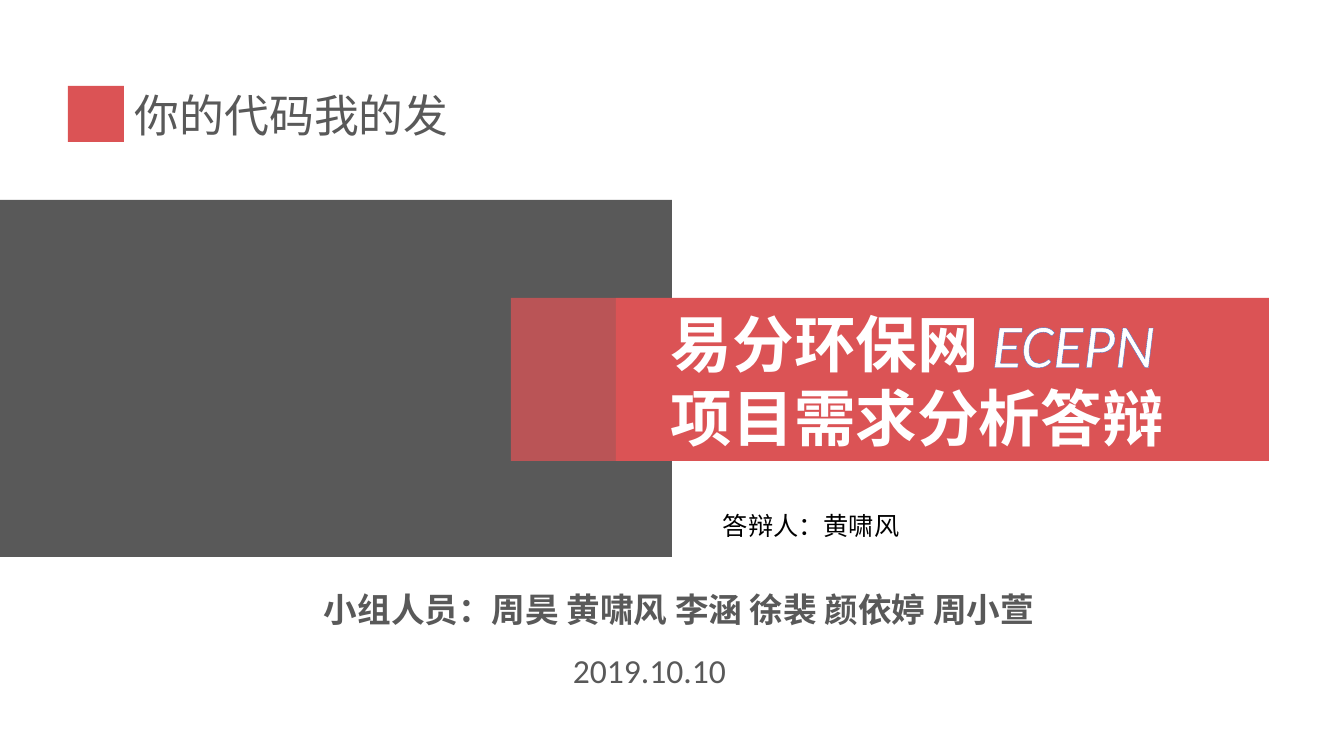
from dataclasses import dataclass

from lxml import etree
from pptx import Presentation
from pptx import util as u
from pptx.dml import color
from pptx.enum import shapes, text
from pptx.oxml import ns

PX = 914400 / 100.8


@dataclass(frozen=True)
class Theme:
    red: str = "DB5355"
    grey: str = "595959"
    white: str = "FFFFFF"
    black: str = "000000"
    outline: str = "4472C4"
    latin: str = "Calibri"
    chinese: str = "Noto Sans CJK SC"
    title: int = 44
    team: int = 32
    body: int = 24
    speaker: int = 18


THEME = Theme()


def px(*lengths):
    return [u.Emu(round(length * PX)) for length in lengths]


def rgb(value):
    return color.RGBColor.from_string(value)


def add_block(slide, box, fill, opacity=100):
    shape = slide.shapes.add_shape(shapes.MSO_SHAPE.RECTANGLE, *px(*box))
    shape.shadow.inherit = False
    shape.fill.solid()
    shape.fill.fore_color.rgb = rgb(fill)
    shape.line.fill.background()
    if opacity < 100:
        fill_color = shape.fill._xPr.find(".//" + ns.qn("a:srgbClr"))
        etree.SubElement(fill_color, ns.qn("a:alpha"), val=str(opacity * 1000))


def outline_text(run, line_color, points):
    line = etree.Element(ns.qn("a:ln"), w=str(u.Pt(points)))
    fill = etree.SubElement(line, ns.qn("a:solidFill"))
    etree.SubElement(fill, ns.qn("a:srgbClr"), val=line_color)
    run.font._element.insert(0, line)


def add_text(slide, box, content, size, fill=THEME.grey, face=THEME.latin,
             bold=False, italic=False, outline=None):
    frame = slide.shapes.add_textbox(*px(*box)).text_frame
    frame.word_wrap = True
    frame.auto_size = text.MSO_AUTO_SIZE.SHAPE_TO_FIT_TEXT
    for index, line in enumerate(content.split("\n")):
        paragraph = frame.add_paragraph() if index else frame.paragraphs[0]
        run = paragraph.add_run()
        run.text = line
        font = run.font
        font.name, font.size = face, u.Pt(size)
        font.bold, font.italic = bold, italic
        font.color.rgb = rgb(fill)
        etree.SubElement(font._element, ns.qn("a:ea"), typeface=THEME.chinese)
        if outline:
            outline_text(run, outline, 0.8)


def main():
    presentation = Presentation()
    presentation.slide_width, presentation.slide_height = px(1344, 756)
    slide = presentation.slides.add_slide(presentation.slide_layouts[6])

    # Backdrop and title band
    add_block(slide, (0, 200, 672, 357), THEME.grey)
    add_block(slide, (616, 298, 653, 163), THEME.red)
    add_block(slide, (511, 298, 105, 163), THEME.red, opacity=75)

    # Team name
    add_block(slide, (68, 86, 56, 56), THEME.red)
    add_text(slide, (125, 83, 349, 64), "你的代码我的发", THEME.team)

    # Project title
    add_text(slide, (661, 301, 524, 159), "易分环保网\n项目需求分析答辩",
             THEME.title, fill=THEME.white, face=THEME.chinese, bold=True)
    add_text(slide, (982, 301, 326, 85), "ECEPN", THEME.title,
             fill=THEME.white, italic=True, outline=THEME.outline)

    # Speaker, members and date
    add_text(slide, (713, 505, 240, 40), "答辩人：黄啸风", THEME.speaker,
             fill=THEME.black)
    add_text(slide, (314, 584, 787, 50),
             "小组人员：周昊 黄啸风 李涵 徐裴 颜依婷 周小萱",
             THEME.body, face=THEME.chinese, bold=True)
    add_text(slide, (563, 645, 175, 50), "2019.10.10", THEME.body)

    presentation.save("out.pptx")


if __name__ == "__main__":
    main()
